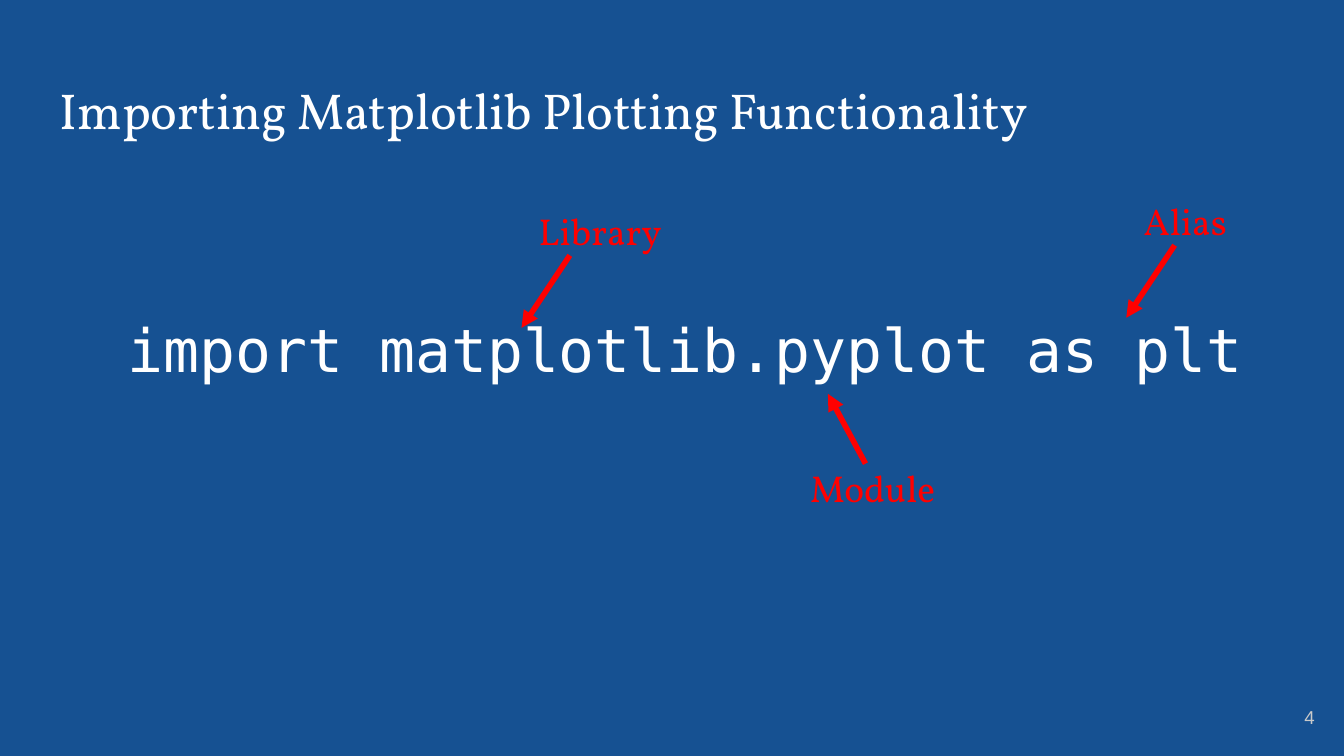
import dataclasses

import pptx
import pptx.dml.color
import pptx.enum.shapes
import pptx.enum.text
import pptx.oxml
import pptx.oxml.ns
import pptx.util


@dataclasses.dataclass(frozen=True)
class Theme:
    background: str = "165192"
    text: str = "FFFFFF"
    accent: str = "FF0000"
    muted: str = "CACACA"
    serif: str = "Vollkorn"
    mono: str = "DejaVu Sans Mono"
    sans: str = "Arial"
    title_size: int = 27
    code_size: int = 32
    label_size: int = 20
    number_size: int = 10
    arrow_width: int = 3


def color(value):
    return pptx.dml.color.RGBColor.from_string(value)


class CodeSlide:
    COLUMNS = 100
    ROWS = 56.25

    def __init__(self, deck, theme):
        self.theme = theme
        self.column = deck.slide_width / self.COLUMNS
        self.row = deck.slide_height / self.ROWS
        self.slide = deck.slides.add_slide(deck.slide_layouts[6])
        fill = self.slide.background.fill
        fill.solid()
        fill.fore_color.rgb = color(theme.background)

    def x(self, columns):
        return round(columns * self.column)

    def y(self, rows):
        return round(rows * self.row)

    def text(self, words, box, font, size, ink, inset=(1, 1),
             align=pptx.enum.text.PP_ALIGN.LEFT,
             anchor=pptx.enum.text.MSO_ANCHOR.TOP):
        left, top, width, height = box
        frame = self.slide.shapes.add_textbox(
            self.x(left), self.y(top), self.x(width), self.y(height)).text_frame
        frame.word_wrap = True
        frame.vertical_anchor = anchor
        frame.margin_left = frame.margin_right = self.x(inset[0])
        frame.margin_top = frame.margin_bottom = self.y(inset[1])
        paragraph = frame.paragraphs[0]
        paragraph.text = words
        paragraph.alignment = align
        paragraph.font.name = font
        paragraph.font.size = pptx.util.Pt(size)
        paragraph.font.color.rgb = color(ink)

    def title(self, words):
        self.text(words, (3.45, 4.9, 93.2, 6.3),
                  self.theme.serif, self.theme.title_size, self.theme.text)

    def code(self, words):
        self.text(words, (8.5, 22.3, 88, 7.2),
                  self.theme.mono, self.theme.code_size, self.theme.text)

    def page_number(self, number):
        self.text(str(number), (92.8, 51.2, 6, 4.3),
                  self.theme.sans, self.theme.number_size, self.theme.muted,
                  align=pptx.enum.text.PP_ALIGN.RIGHT,
                  anchor=pptx.enum.text.MSO_ANCHOR.MIDDLE)

    def arrow(self, start, end):
        pointer = self.slide.shapes.add_connector(
            pptx.enum.shapes.MSO_CONNECTOR.STRAIGHT,
            self.x(start[0]), self.y(start[1]), self.x(end[0]), self.y(end[1]))
        pointer.line.color.rgb = color(self.theme.accent)
        pointer.line.width = pptx.util.Pt(self.theme.arrow_width)
        head = pptx.oxml.parse_xml(
            f'<a:tailEnd {pptx.oxml.ns.nsdecls("a")} type="triangle"/>')
        pointer.line._get_or_add_ln().append(head)
        pointer._element.spPr.append(
            pptx.oxml.parse_xml(f'<a:effectLst {pptx.oxml.ns.nsdecls("a")}/>'))

    def callout(self, words, left, top, width, offset, reach):
        start = (left + offset[0], top + offset[1])
        self.arrow(start, (start[0] + reach[0], start[1] + reach[1]))
        self.text(words, (left, top, width, 4.4), self.theme.serif,
                  self.theme.label_size, self.theme.accent, inset=(1, 0.5))


def main():
    deck = pptx.Presentation()
    deck.slide_width = pptx.util.Inches(10)
    deck.slide_height = pptx.util.Inches(5.625)

    page = CodeSlide(deck, Theme())
    page.title("Importing Matplotlib Plotting Functionality")
    page.code("import matplotlib.pyplot as plt")
    page.page_number(4)

    downward = {"offset": (3.3, 4), "reach": (-3.6, 5.4)}
    upward = {"offset": (5.1, 0.4), "reach": (-2.8, -5.2)}
    page.callout("Library", 39.1, 15, 11.5, **downward)
    page.callout("Module", 59.3, 34.1, 12.7, **upward)
    page.callout("Alias", 84.1, 14.25, 11.5, **downward)

    deck.save("out.pptx")


if __name__ == "__main__":
    main()
